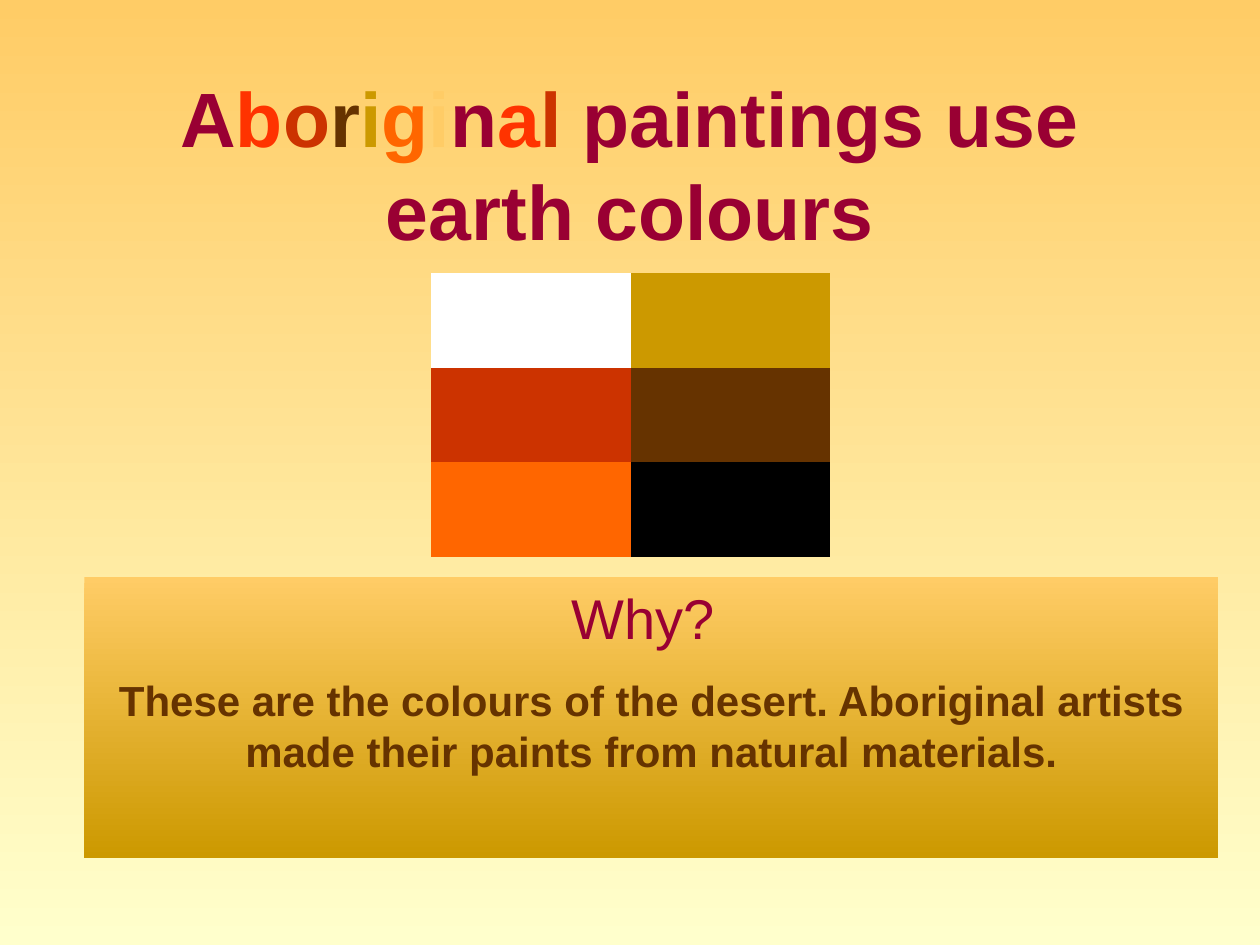
import pptx
import pptx.dml.color
import pptx.enum.shapes
import pptx.enum.text
import pptx.util

Inches = pptx.util.Inches
Pt = pptx.util.Pt
ALIGN = pptx.enum.text.PP_ALIGN
ANCHOR = pptx.enum.text.MSO_ANCHOR

THEME = {
    "font": "Arial", "title": 44, "question": 32, "answer": 24,
    "maroon": "990033", "red": "FF3300", "rust": "CC3300", "brown": "663300",
    "ochre": "CC9900", "orange": "FF6600", "sand": "FFCC66", "cream": "FFFFCC",
    "white": "FFFFFF", "black": "000000",
}
NO_GRID_STYLE = "{2D5ABB26-0587-4C30-8999-92F81FD0307C}"


def rgb(name):
    return pptx.dml.color.RGBColor.from_string(THEME[name])


def fill_downwards(fill, top, bottom):
    fill.gradient()
    fill.gradient_angle = 270
    for stop, name in zip(fill.gradient_stops, (top, bottom)):
        stop.color.rgb = rgb(name)


presentation = pptx.Presentation()
presentation.slide_width, presentation.slide_height = Inches(10), Inches(7.5)
slide = presentation.slides.add_slide(presentation.slide_layouts[6])
fill_downwards(slide.background.fill, "sand", "cream")

# Title with one earth colour per letter
title = slide.shapes.add_textbox(Inches(0.75), Inches(0.67), Inches(8.5), Inches(1.25))
title.text_frame.word_wrap = True
title.text_frame.vertical_anchor = ANCHOR.MIDDLE
paragraph = title.text_frame.paragraphs[0]
paragraph.alignment = ALIGN.CENTER
letter_colours = ["maroon", "red", "rust", "brown", "ochre", "orange", "sand",
                  "maroon", "red", "rust"]
title_parts = list(zip("Aboriginal", letter_colours))
title_parts.append((" paintings use earth colours", "maroon"))
for text, colour in title_parts:
    run = paragraph.add_run()
    run.text = text
    run.font.name = THEME["font"]
    run.font.size = Pt(THEME["title"])
    run.font.bold = True
    run.font.color.rgb = rgb(colour)

# Colour swatches
swatches = [("white", "ochre"), ("rust", "brown"), ("orange", "black")]
table = slide.shapes.add_table(len(swatches), 2, Inches(3.42), Inches(2.17),
                               Inches(3.17), Inches(2.25)).table
table.first_row = table.horz_banding = False
table._tbl.tblPr.find(pptx.oxml.ns.qn("a:tableStyleId")).text = NO_GRID_STYLE
for row, colours in enumerate(swatches):
    for column, colour in enumerate(colours):
        cell = table.cell(row, column)
        cell.fill.solid()
        cell.fill.fore_color.rgb = rgb(colour)

# Explanation panel
panel = slide.shapes.add_shape(pptx.enum.shapes.MSO_SHAPE.RECTANGLE,
                               Inches(0.67), Inches(4.58), Inches(9), Inches(2.23))
panel.shadow.inherit = False
panel.line.fill.background()
fill_downwards(panel.fill, "sand", "ochre")
panel.text_frame.word_wrap = True
panel.text_frame.vertical_anchor = ANCHOR.TOP
panel.text_frame.text = ("Why? \nThese are the colours of the desert. Aboriginal artists "
                         "made their paints from natural materials.")
panel_styles = [("question", "maroon", False, 3), ("answer", "brown", True, 14)]
for paragraph, (size, colour, bold, gap) in zip(panel.text_frame.paragraphs, panel_styles):
    paragraph.alignment = ALIGN.CENTER
    paragraph.space_before = Pt(gap)
    font = paragraph.runs[0].font
    font.name = THEME["font"]
    font.size = Pt(THEME[size])
    font.bold = bold
    font.color.rgb = rgb(colour)

presentation.save("out.pptx")
